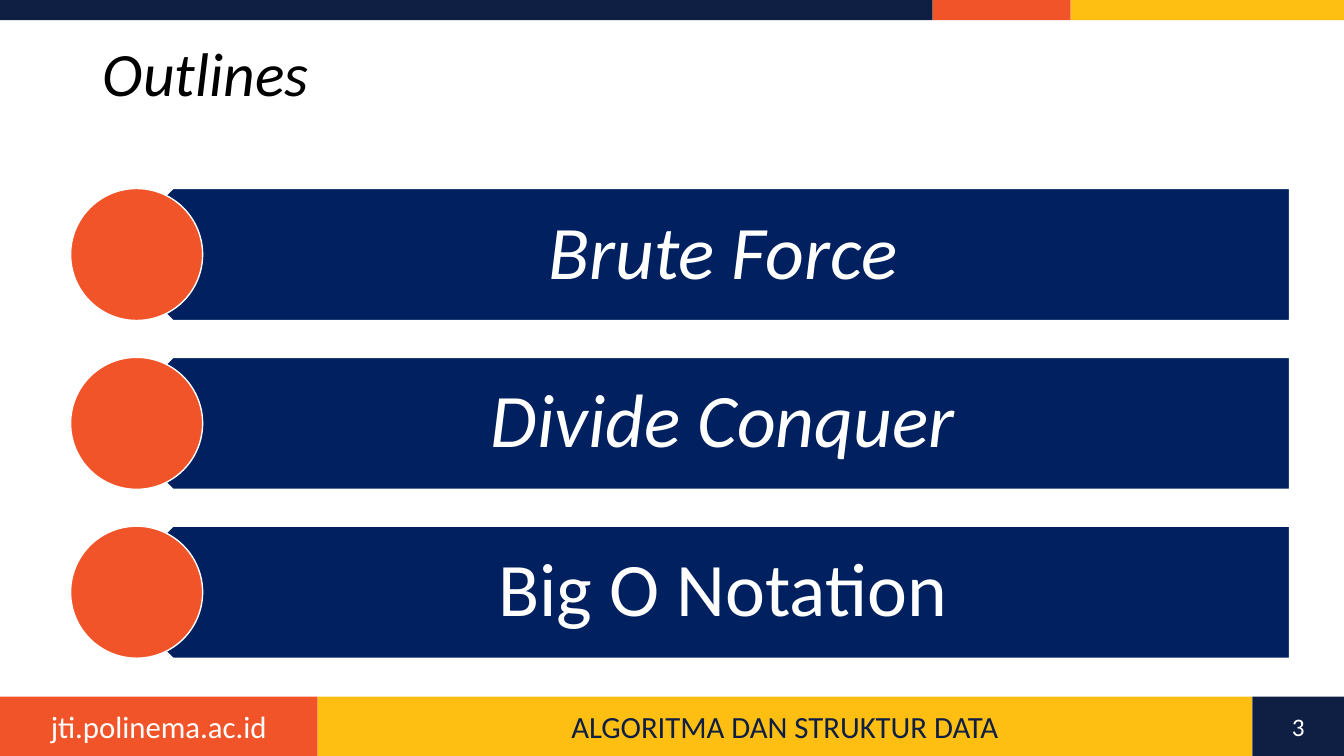
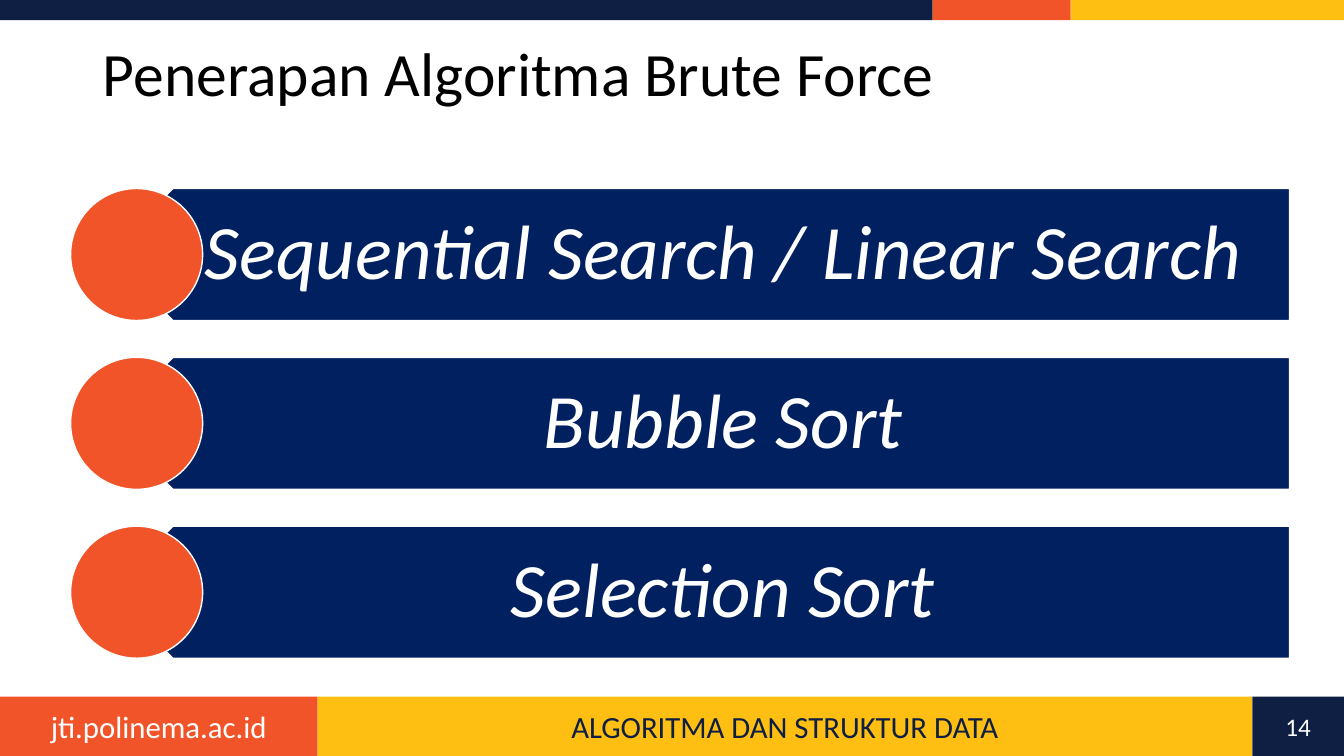
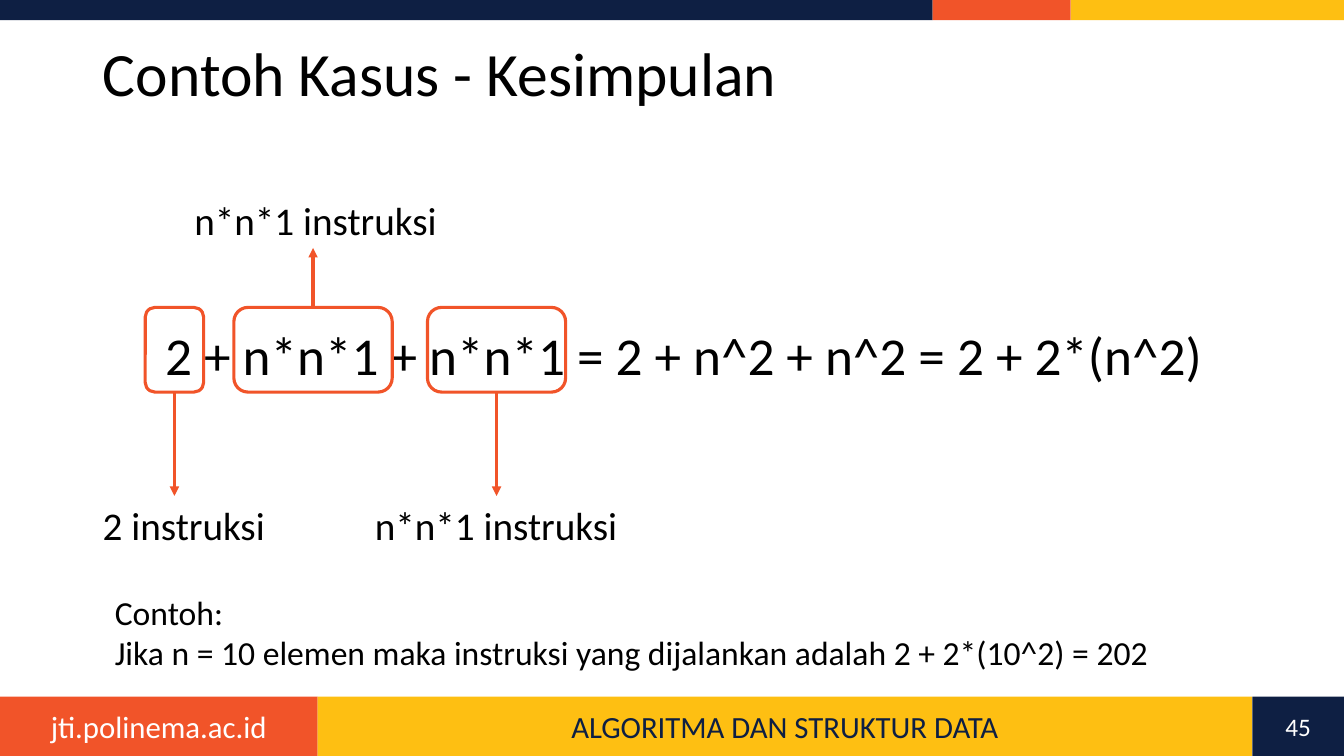
"""Builds three slides of an algorithms and data structures lecture."""
from lxml import etree
from pptx import Presentation
from pptx import util as u
from pptx.dml import color
from pptx.enum import shapes, text
from pptx.oxml import ns

NAVY, ORANGE, YELLOW = "0E1F43", "F15429", "FEBF12"
BAR, WHITE, BLACK = "002060", "FFFFFF", "000000"
FONT = "Calibri"
SHAPE = shapes.MSO_SHAPE
LEFT, CENTER = text.PP_ALIGN.LEFT, text.PP_ALIGN.CENTER
TOP, MIDDLE = text.MSO_ANCHOR.TOP, text.MSO_ANCHOR.MIDDLE


def rgb(code):
    """Turn a hex string into a colour."""
    return color.RGBColor.from_string(code)


def write(frame, content, size=28, fill=BLACK, italic=False, align=LEFT,
          anchor=TOP, spacing=1.0, insets=(0.1, 0.05, 0.1, 0.05)):
    """Fill a text frame, one paragraph for each line of the content."""
    frame.word_wrap = True
    frame.auto_size = text.MSO_AUTO_SIZE.NONE
    frame.vertical_anchor = anchor
    (frame.margin_left, frame.margin_top,
     frame.margin_right, frame.margin_bottom) = map(u.Inches, insets)
    frame.text = content
    for para in frame.paragraphs:
        para.alignment = align
        para.line_spacing = spacing
        for span in para.runs:
            span.font.name = FONT
            span.font.size = u.Pt(size)
            span.font.italic = italic
            span.font.color.rgb = rgb(fill)


class Deck:
    """Holds the presentation, its shared style and the current page."""

    def __init__(self):
        """Start an empty widescreen presentation."""
        self.show = Presentation()
        self.show.slide_width = u.Inches(13.33)
        self.show.slide_height = u.Inches(7.5)
        self.page = None

    def add_page(self, title, number, italic=False):
        """Add a page with its title, bands and footer."""
        self.page = self.show.slides.add_slide(self.show.slide_layouts[5])
        heading = self.page.shapes.title
        heading.left, heading.top = u.Inches(0.92), u.Inches(0.4)
        heading.width, heading.height = u.Inches(10.24), u.Inches(0.72)
        write(heading.text_frame, title, size=44, italic=italic,
              anchor=MIDDLE, spacing=0.9)
        for left, right, fill in ((0, 9.25, NAVY), (9.25, 10.62, ORANGE),
                                  (10.62, 13.33, YELLOW)):
            self.add_shape(SHAPE.RECTANGLE, left, 0, right - left, 0.2, fill)
        for left, right, fill, label, size, ink in (
                (0, 3.15, ORANGE, "jti.polinema.ac.id", 22, WHITE),
                (3.15, 12.42, YELLOW, "ALGORITMA DAN STRUKTUR DATA", 22, NAVY),
                (12.42, 13.33, NAVY, str(number), 18, WHITE)):
            band = self.add_shape(SHAPE.RECTANGLE, left, 6.91, right - left,
                                  0.59, fill)
            write(band.text_frame, label, size=size, fill=ink, align=CENTER,
                  anchor=MIDDLE)

    def add_shape(self, kind, left, top, width, height, fill=None, line=None,
                  weight=1):
        """Add a preset shape, without fill or line unless they are given."""
        box = self.page.shapes.add_shape(
            kind, *map(u.Inches, (left, top, width, height)))
        box.shadow.inherit = False
        if fill:
            box.fill.solid()
            box.fill.fore_color.rgb = rgb(fill)
        else:
            box.fill.background()
        if line:
            box.line.color.rgb = rgb(line)
            box.line.width = u.Pt(weight)
        else:
            box.line.fill.background()
        return box

    def add_text(self, content, left, top, width, height, **style):
        """Add a text box."""
        box = self.page.shapes.add_textbox(
            *map(u.Inches, (left, top, width, height)))
        write(box.text_frame, content, **style)

    def add_arrow(self, box, site, end):
        """Add a vertical arrow from a side of a box to a height."""
        middle = box.left + box.width // 2
        start = box.top if site == 0 else box.top + box.height
        arrow = self.page.shapes.add_connector(
            shapes.MSO_CONNECTOR.STRAIGHT, middle, start, middle,
            u.Inches(end))
        arrow.begin_connect(box, site)
        arrow.line.color.rgb = rgb(ORANGE)
        arrow.line.width = u.Pt(2.25)
        etree.SubElement(arrow.line._get_or_add_ln(), ns.qn("a:tailEnd"),
                         type="triangle")
        etree.SubElement(arrow._element.spPr, ns.qn("a:effectLst"))

    def add_bars(self, items, size):
        """Add a column of bars with round markers, from (label, italic)."""
        side, pitch = 1.31, 1.675
        for row, (label, italic) in enumerate(items):
            top = 1.87 + row * pitch
            bar = self.add_shape(SHAPE.PENTAGON, 1.06, top, 11.73, side, BAR,
                                 WHITE)
            bar.rotation = 180
            self.add_text(label, 1.39, top, 11.4, side, size=size, fill=WHITE,
                          italic=italic, align=CENTER, anchor=MIDDLE,
                          spacing=0.9, insets=(0.58, 0.22, 0.42, 0.22))
            self.add_shape(SHAPE.OVAL, 0.7, top, side, side, ORANGE, WHITE)

    def add_term(self, left, width, site, end):
        """Frame one term of the formula and point an arrow at its label."""
        box = self.add_shape(SHAPE.ROUNDED_RECTANGLE, left, 3.05, width, 0.84,
                             line=ORANGE, weight=2.25)
        self.add_arrow(box, site, end)


def main():
    """Build and save the slides."""
    deck = Deck()

    deck.add_page("Outlines", 3, italic=True)
    deck.add_bars((("Brute Force", True), ("Divide Conquer", True),
                   ("Big O Notation", False)), size=54)

    deck.add_page("Penerapan Algoritma Brute Force", 14)
    deck.add_bars((("Sequential Search / Linear Search", True),
                   ("Bubble Sort", True), ("Selection Sort", True)), size=55)

    deck.add_page("Contoh Kasus - Kesimpulan", 45)
    deck.add_text("2 + n*n*1 + n*n*1 = 2 + n^2 + n^2 = 2 + 2*(n^2)",
                  1.54, 3.15, 10.58, 0.74, size=38)
    deck.add_term(1.44, 0.58, site=2, end=4.92)
    deck.add_term(2.32, 1.57, site=0, end=2.46)
    deck.add_term(4.24, 1.37, site=2, end=4.92)
    for label, left, top, width in (("2 instruksi", 0.92, 4.92, 1.83),
                                    ("n*n*1 instruksi", 1.83, 1.9, 2.64),
                                    ("n*n*1 instruksi", 3.62, 4.92, 2.64)):
        deck.add_text(label, left, top, width, 0.57)
    deck.add_text("Contoh:\nJika n = 10 elemen maka instruksi yang dijalankan "
                  "adalah 2 + 2*(10^2) = 202", 1.04, 5.82, 11.58, 0.91, size=24)

    deck.show.save("out.pptx")


if __name__ == "__main__":
    main()
